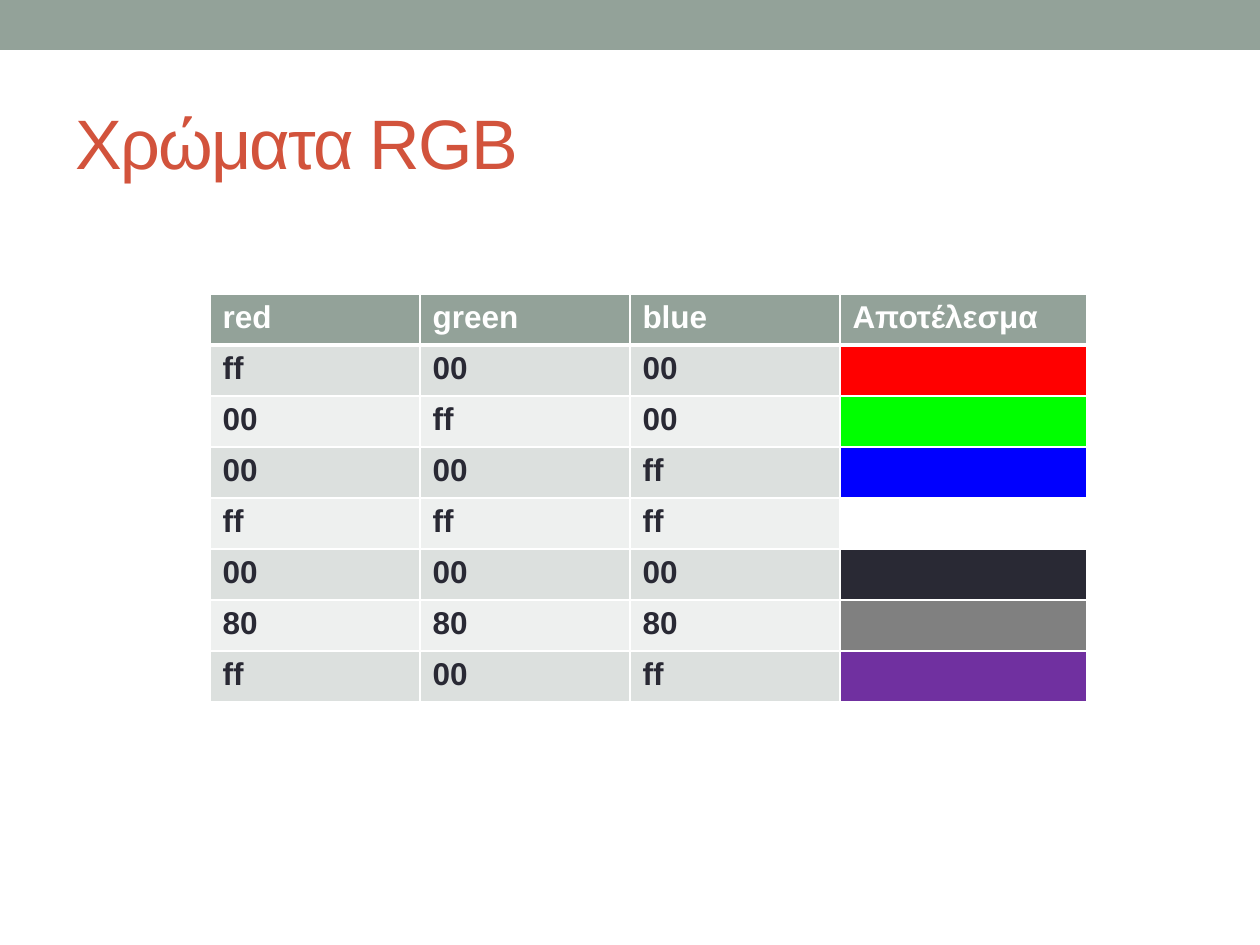
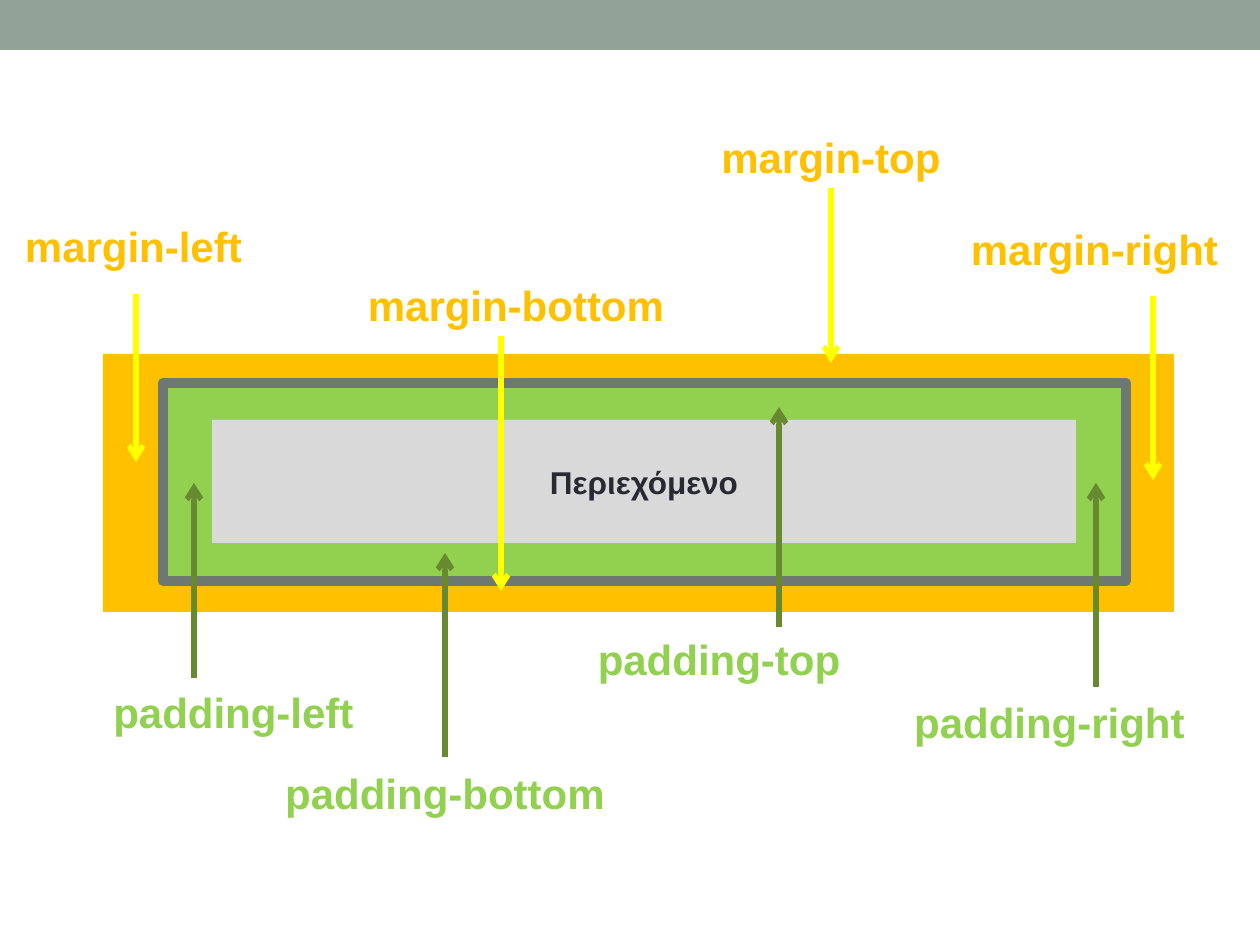
from lxml import etree
from pptx import Presentation
from pptx.dml.color import RGBColor
from pptx.enum.shapes import MSO_CONNECTOR, MSO_SHAPE
from pptx.enum.text import MSO_ANCHOR, MSO_AUTO_SIZE, PP_ALIGN
from pptx.oxml.ns import qn
from pptx.util import Emu, Pt

COLORS = {
    "sage": "93A299", "title": "D2533C", "ink": "292934", "white": "FFFFFF",
    "row_odd": "DCE0DE", "row_even": "EEF0EF",
    "margin": "FFC000", "margin_arrow": "FFFF00",
    "padding": "92D050", "padding_arrow": "678930",
    "border": "6D7871", "content": "D9D9D9",
    "red": "FF0000", "green": "00FF00", "blue": "0000FF",
    "gray": "808080", "purple": "7030A0",
}
FONT = "Arial"
PX_PER_INCH = 126
SLIDE_WIDTH, SLIDE_HEIGHT = 1260, 945
TITLE_ONLY, BLANK = 5, 6
LABEL_HEIGHT = 63

RGB_HEADINGS = ("red", "green", "blue", "Αποτέλεσμα")
RGB_MIXES = (
    ("ff", "00", "00", "red"),
    ("00", "ff", "00", "green"),
    ("00", "00", "ff", "blue"),
    ("ff", "ff", "ff", "white"),
    ("00", "00", "00", "ink"),
    ("80", "80", "80", "gray"),
    ("ff", "00", "ff", "purple"),
)
BOX_SIDES = (
    ("margin", "left", (9, 214, 249), (136, 294, 462)),
    ("padding", "right", (878, 690, 343), (1096, 687, 483)),
    ("margin", "right", (953, 217, 283), (1153, 296, 480)),
    ("padding", "left", (62, 680, 343), (194, 678, 483)),
    ("padding", "bottom", (241, 761, 408), (445, 757, 553)),
    ("padding", "top", (515, 627, 408), (779, 627, 407)),
    ("margin", "top", (689, 125, 284), (831, 188, 363)),
    ("margin", "bottom", (347, 273, 338), (501, 336, 591)),
)


def px(length):
    return Emu(round(length * 914400 / PX_PER_INCH))


def rgb(name):
    return RGBColor.from_string(COLORS[name])


class Deck:
    """Holds the shared style and the slide being drawn."""

    def __init__(self):
        self.prs = Presentation()
        self.prs.slide_width = px(SLIDE_WIDTH)
        self.prs.slide_height = px(SLIDE_HEIGHT)
        self.slide = None

    def new_slide(self, layout):
        self.slide = self.prs.slides.add_slide(self.prs.slide_layouts[layout])
        self.box(0, 0, SLIDE_WIDTH, 50, "sage")

    def set_text(self, frame, text, size, color, bold=True, align=PP_ALIGN.LEFT):
        frame.text = text
        paragraph = frame.paragraphs[0]
        paragraph.alignment = align
        font = paragraph.font
        font.name, font.size, font.bold = FONT, Pt(size), bold
        font.color.rgb = rgb(color)

    def title(self, text):
        heading = self.slide.shapes.title
        heading.left, heading.top = px(63), px(73)
        heading.width, heading.height = px(1134), px(136)
        heading.text_frame.vertical_anchor = MSO_ANCHOR.MIDDLE
        self.set_text(heading.text_frame, text, 40, "title", bold=False)
        heading.element.find(".//" + qn("a:defRPr")).set("spc", "-100")

    def box(self, left, top, width, height, fill, line=None, text=None):
        area = self.slide.shapes.add_shape(
            MSO_SHAPE.RECTANGLE, px(left), px(top), px(width), px(height))
        area.shadow.inherit = False
        area.fill.solid()
        area.fill.fore_color.rgb = rgb(fill)
        if line:
            area.line.color.rgb = rgb(line)
            area.line.width = Pt(6)
        else:
            area.line.fill.background()
        if text:
            area.text_frame.vertical_anchor = MSO_ANCHOR.MIDDLE
            self.set_text(area.text_frame, text, 18, "ink", align=PP_ALIGN.CENTER)

    def label(self, left, top, width, text, color):
        caption = self.slide.shapes.add_textbox(
            px(left), px(top), px(width), px(LABEL_HEIGHT))
        caption.text_frame.word_wrap = True
        caption.text_frame.auto_size = MSO_AUTO_SIZE.SHAPE_TO_FIT_TEXT
        self.set_text(caption.text_frame, text, 24, color, align=PP_ALIGN.CENTER)
        return caption

    def arrow(self, x, start, end, color):
        pointer = self.slide.shapes.add_connector(
            MSO_CONNECTOR.STRAIGHT, px(x), px(start), px(x), px(end))
        pointer.line.color.rgb = rgb(color)
        pointer.line.width = Pt(3)
        properties = pointer.element.spPr
        etree.SubElement(properties.find(qn("a:ln")), qn("a:tailEnd"), type="arrow")
        etree.SubElement(properties, qn("a:effectLst"))
        return pointer

    def cell(self, cell, fill, text="", color="ink", top=1, bottom=1):
        properties = cell._tc.get_or_add_tcPr()
        for side, points in (("L", 1), ("R", 1), ("T", top), ("B", bottom)):
            edge = etree.SubElement(
                properties, qn("a:ln" + side), w=str(Pt(points)))
            solid = etree.SubElement(edge, qn("a:solidFill"))
            etree.SubElement(solid, qn("a:srgbClr"), val=COLORS["white"])
        cell.fill.solid()
        cell.fill.fore_color.rgb = rgb(fill)
        self.set_text(cell.text_frame, text, 18, color)

    def color_table(self, left, top, widths, row_height, headings, mixes):
        rows = len(mixes) + 1
        grid = self.slide.shapes.add_table(
            rows, len(widths), px(left), px(top),
            px(sum(widths)), px(row_height * rows)).table
        for column, width in zip(grid.columns, widths):
            column.width = px(width)
        for row in grid.rows:
            row.height = px(row_height)
        for column, heading in enumerate(headings):
            self.cell(grid.cell(0, column), "sage", heading, "white", bottom=3)
        for row, (*levels, result) in enumerate(mixes, 1):
            stripe = "row_odd" if row % 2 else "row_even"
            top_edge = 3 if row == 1 else 1
            for column, level in enumerate(levels):
                self.cell(grid.cell(row, column), stripe, level, top=top_edge)
            self.cell(grid.cell(row, len(levels)), result, top=top_edge)


def main():
    deck = Deck()

    deck.new_slide(TITLE_ONLY)
    deck.title("Χρώματα RGB")
    deck.color_table(210, 294, (210, 210, 210, 247), 51, RGB_HEADINGS, RGB_MIXES)

    deck.new_slide(BLANK)
    deck.box(103, 354, 1071, 258, "margin")
    deck.box(163, 383, 963, 198, "padding", line="border")
    deck.box(212, 420, 864, 123, "content", text="Περιεχόμενο")
    for zone, side, place, (x, start, end) in BOX_SIDES:
        caption = deck.label(*place, f"{zone}-{side}", zone)
        pointer = deck.arrow(x, start, end, zone + "_arrow")
        left, top, width = place
        if (x, start) == (left + width / 2, top + LABEL_HEIGHT):
            pointer.begin_connect(caption, 2)

    deck.prs.save("out.pptx")


if __name__ == "__main__":
    main()
